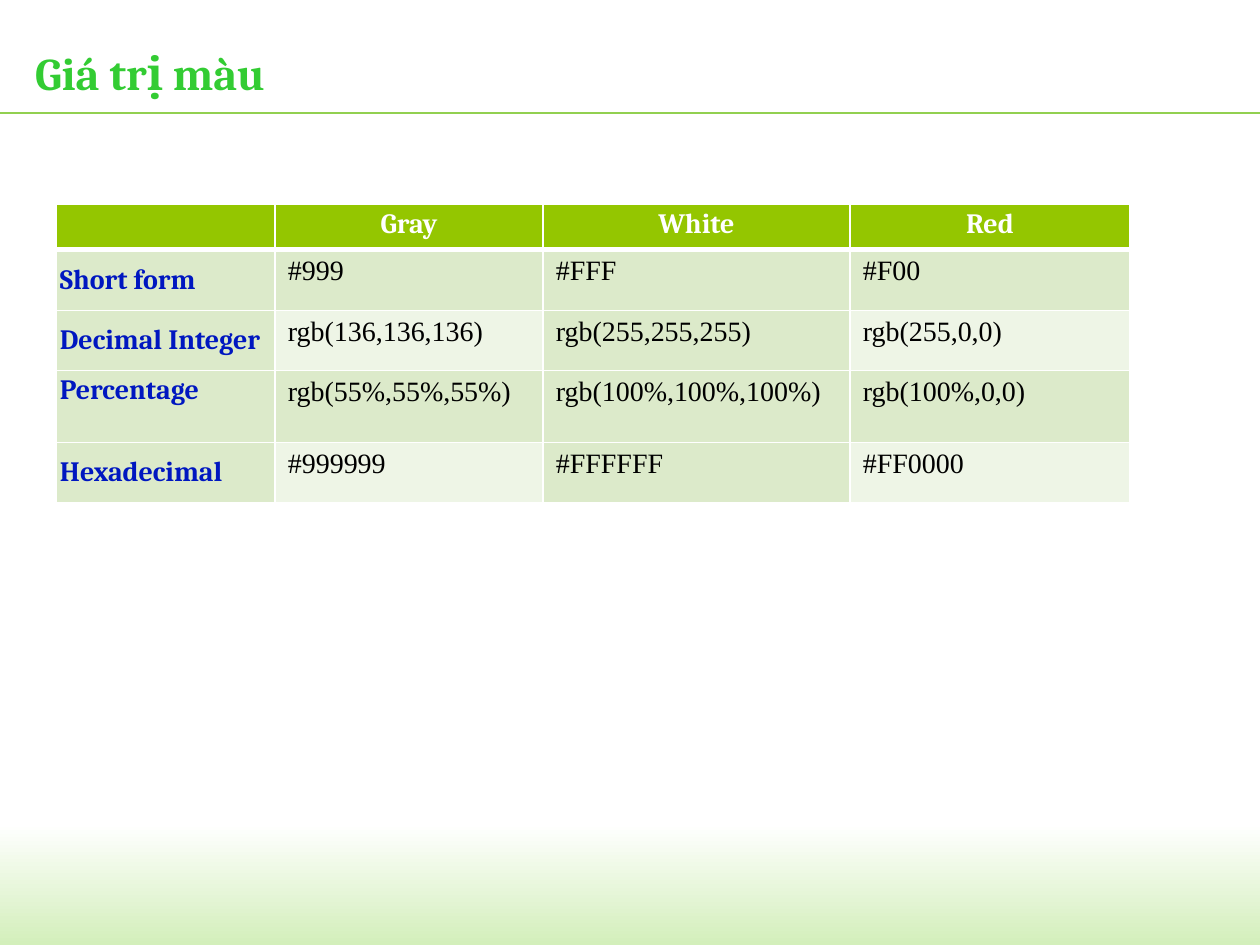
import dataclasses

import lxml.etree
import pptx
import pptx.dml.color
import pptx.enum.shapes
import pptx.enum.text
import pptx.oxml.ns
import pptx.util

PX = 914400 / 126
ALIGN = pptx.enum.text.PP_ALIGN
ANCHOR = pptx.enum.text.MSO_ANCHOR


@dataclasses.dataclass(frozen=True)
class Theme:
    title: str = "33CC33"
    rule: str = "92D050"
    white: str = "FFFFFF"
    footer: str = "D3EFBB"
    header: str = "94C600"
    band: str = "DCEACA"
    light_band: str = "EEF5E6"
    label: str = "0017C0"
    value: str = "000000"
    heading_font: str = "Cambria"
    value_font: str = "Times New Roman"
    title_size: int = 26
    table_size: int = 16


THEME = Theme()
HEADERS = ["", "Gray", "White", "Red"]
ROWS = [
    ["Short form", "#999", "#FFF", "#F00"],
    ["Decimal Integer", "rgb(136,136,136)", "rgb(255,255,255)", "rgb(255,0,0)"],
    ["Percentage", "rgb(55%,55%,55%)", "rgb(100%,100%,100%)", "rgb(100%,0,0)"],
    ["Hexadecimal", "#999999", "#FFFFFF", "#FF0000"],
]
COLUMN_WIDTHS = [219, 268, 307, 280]
ROW_HEIGHTS = [43, 61, 60, 72, 60]


def emu(pixels):
    return pptx.util.Emu(round(pixels * PX))


def rgb(value):
    return pptx.dml.color.RGBColor.from_string(value)


def write_text(frame, text, *, size, color, font=THEME.heading_font, bold=True,
               align=ALIGN.LEFT):
    paragraph = frame.paragraphs[0]
    paragraph.alignment = align
    run = paragraph.add_run()
    run.text = text
    run.font.name = font
    run.font.size = pptx.util.Pt(size)
    run.font.bold = bold
    run.font.color.rgb = rgb(color)


def set_margins(target, horizontal, vertical):
    target.margin_left = target.margin_right = emu(horizontal)
    target.margin_top = target.margin_bottom = emu(vertical)


def set_borders(cell, bottom_width):
    """Draw white cell borders; the widths are in points."""
    properties = cell._tc.get_or_add_tcPr()
    widths = {"lnL": 1, "lnR": 1, "lnT": 1, "lnB": bottom_width}
    for index, (side, width) in enumerate(widths.items()):
        line = lxml.etree.Element(pptx.oxml.ns.qn(f"a:{side}"),
                                  w=str(pptx.util.Pt(width)))
        fill = lxml.etree.SubElement(line, pptx.oxml.ns.qn("a:solidFill"))
        lxml.etree.SubElement(fill, pptx.oxml.ns.qn("a:srgbClr"), val=THEME.white)
        properties.insert(index, line)


def add_footer(slide, left, top, width, height):
    shape = slide.shapes.add_shape(pptx.enum.shapes.MSO_SHAPE.RECTANGLE,
                                   emu(left), emu(top), emu(width), emu(height))
    shape.shadow.inherit = False
    shape.line.fill.background()
    shape.fill.gradient()
    shape.fill.gradient_angle = 270
    for stop, color in zip(shape.fill.gradient_stops, (THEME.white, THEME.footer)):
        stop.color.rgb = rgb(color)


def add_title(slide, left, top, width, height):
    """Place the title band: a rule along its bottom and the text above it."""
    bottom = emu(top + height)
    rule = slide.shapes.add_connector(pptx.enum.shapes.MSO_CONNECTOR.STRAIGHT,
                                      emu(left), bottom, emu(left + width), bottom)
    rule.line.color.rgb = rgb(THEME.rule)
    rule.line.width = pptx.util.Pt(0.75)
    lxml.etree.SubElement(rule._element.spPr, pptx.oxml.ns.qn("a:effectLst"))

    box = slide.shapes.add_textbox(emu(left + 35), emu(top + 32),
                                   emu(width - 44), emu(height - 33))
    frame = box.text_frame
    frame.word_wrap = True
    frame.vertical_anchor = ANCHOR.MIDDLE
    set_margins(frame, 0, 0)
    write_text(frame, "Giá trị màu", size=THEME.title_size, color=THEME.title)


def format_cell(cell, text, row, column):
    is_header, is_label = row == 0, column == 0
    if is_header:
        fill = THEME.header
        style = {"color": THEME.white, "align": ALIGN.CENTER}
    elif is_label:
        fill = THEME.band
        style = {"color": THEME.label}
        is_percentage = text == "Percentage"
        cell.vertical_anchor = ANCHOR.TOP if is_percentage else ANCHOR.MIDDLE
    else:
        is_light = row % 2 == 0 and column % 2 == 1
        fill = THEME.light_band if is_light else THEME.band
        style = {"color": THEME.value, "font": THEME.value_font,
                 "bold": False, "align": ALIGN.JUSTIFY}
    set_margins(cell, *((4, 4) if is_header or is_label else (13, 6)))
    cell.fill.solid()
    cell.fill.fore_color.rgb = rgb(fill)
    set_borders(cell, 3 if is_header else 1)
    write_text(cell.text_frame, text, size=THEME.table_size, **style)


def add_color_table(slide, left, top):
    frame = slide.shapes.add_table(len(ROW_HEIGHTS), len(COLUMN_WIDTHS),
                                   emu(left), emu(top),
                                   emu(sum(COLUMN_WIDTHS)), emu(sum(ROW_HEIGHTS)))
    table = frame.table
    table.horz_banding = False
    for column, width in zip(table.columns, COLUMN_WIDTHS):
        column.width = emu(width)
    for row, height in zip(table.rows, ROW_HEIGHTS):
        row.height = emu(height)
    for row, texts in enumerate([HEADERS, *ROWS]):
        for column, text in enumerate(texts):
            format_cell(table.cell(row, column), text, row, column)


def main():
    presentation = pptx.Presentation()
    presentation.slide_width = emu(1260)
    presentation.slide_height = emu(945)
    slide = presentation.slides.add_slide(presentation.slide_layouts[6])
    slide.background.fill.solid()
    slide.background.fill.fore_color.rgb = rgb(THEME.white)
    add_footer(slide, -4, 823, 1264, 122)
    add_title(slide, 0, 0, 1260, 113)
    add_color_table(slide, 56, 204)
    presentation.save("out.pptx")


if __name__ == "__main__":
    main()
